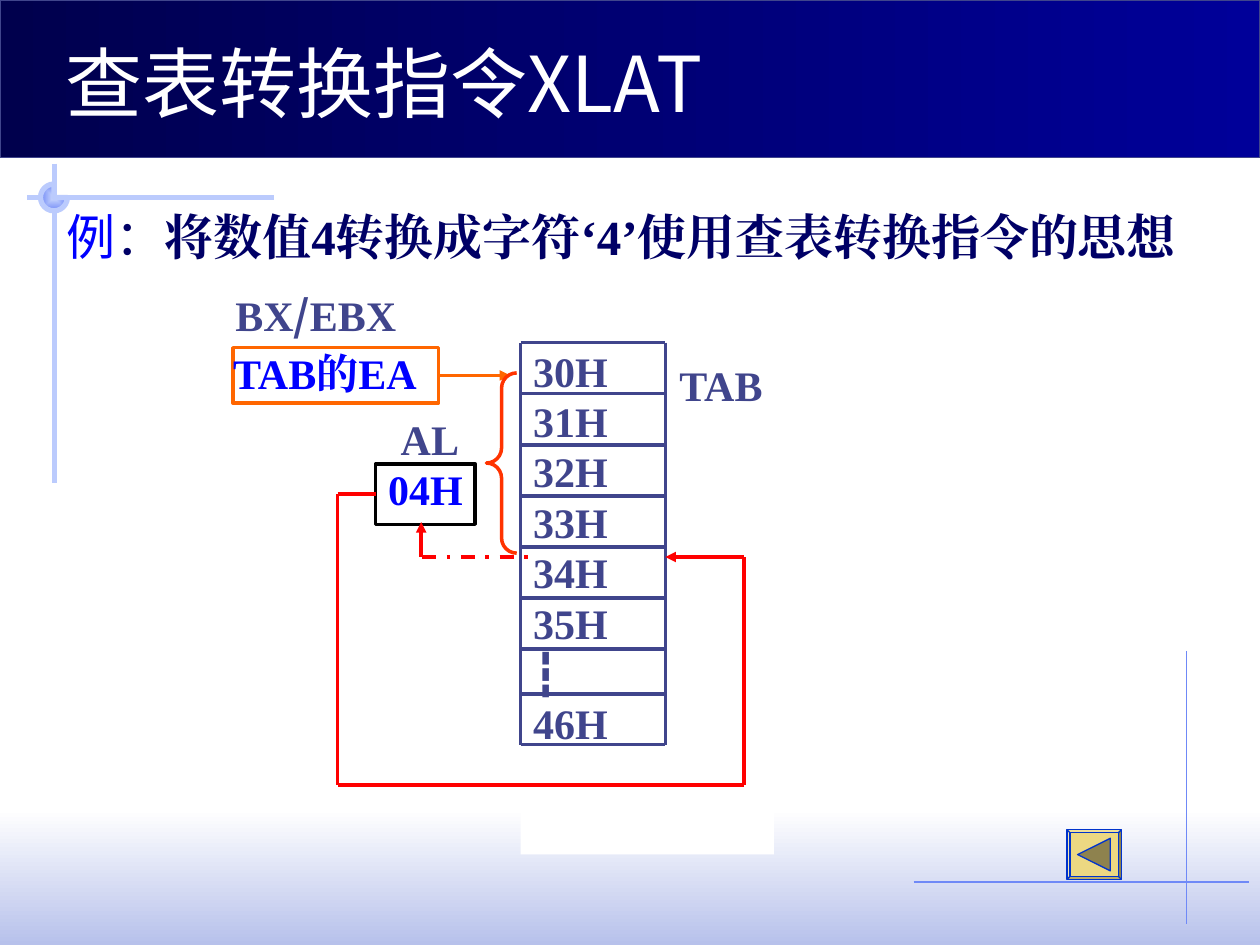
from itertools import accumulate

from lxml import etree
from pptx import Presentation
from pptx.dml.color import RGBColor
from pptx.enum import dml, shapes, text
from pptx.oxml.ns import qn
from pptx.util import Pt

WHITE = RGBColor(0xFF, 0xFF, 0xFF)
BLACK = RGBColor(0, 0, 0)
SLATE = RGBColor(0x40, 0x45, 0x8C)
NAVY = RGBColor(0, 0, 0x66)
HEADER_DARK = RGBColor(0, 0, 0x4D)
HEADER_LIGHT = RGBColor(0, 0, 0x99)
BLUE = RGBColor(0, 0, 0xFF)
PALE = RGBColor(0xCF, 0xDB, 0xFD)
LIGHT = RGBColor(0xBB, 0xCB, 0xFD)
MEDIUM = RGBColor(0x6F, 0x89, 0xF7)
FOOTER = RGBColor(0xB7, 0xC1, 0xEB)
ORANGE = RGBColor(0xFF, 0x66, 0)
BRACE = RGBColor(0xFF, 0x33, 0)
RED = RGBColor(0xFF, 0, 0)
GOLD = RGBColor(0xEC, 0xD8, 0x82)
BRONZE = RGBColor(0x8E, 0x82, 0x4E)
BUTTON_LINE = RGBColor(0, 0x33, 0xCC)
SERIF, SANS, CJK = "Times New Roman", "Roboto", "Noto Sans CJK SC"


def set_font(font, size, color, name=SERIF, bold=True):
    font.size, font.name, font.bold = Pt(size), name, bold
    font.color.rgb = color


def add_shape(slide, box, fill=None, line=None, width=2, kind=shapes.MSO_SHAPE.RECTANGLE):
    shape = slide.shapes.add_shape(kind, *map(Pt, box))
    finish_shape(shape, fill, line, width)
    return shape


def finish_shape(shape, fill, line, width):
    shape.shadow.inherit = False
    if fill is None:
        shape.fill.background()
    elif isinstance(fill, RGBColor):
        shape.fill.solid()
        shape.fill.fore_color.rgb = fill
    else:
        shape.fill.gradient()
        for position, (stop, color) in enumerate(zip(shape.fill.gradient_stops, fill)):
            stop.color.rgb = color
            stop.position = position
    if line is None:
        shape.line.fill.background()
    else:
        shape.line.color.rgb = line
        shape.line.width = Pt(width)


def add_line(slide, start, end, color, width=2, arrow=False):
    line = slide.shapes.add_connector(
        shapes.MSO_CONNECTOR.STRAIGHT, *map(Pt, (*start, *end)))
    line.line.color.rgb = color
    line.line.width = Pt(width)
    properties = line.element.spPr
    if arrow:
        etree.SubElement(properties.find(qn("a:ln")), qn("a:tailEnd"), type="triangle")
    etree.SubElement(properties, qn("a:effectLst"))
    return line


def write(shape, lines, color=SLATE, align=text.PP_ALIGN.LEFT, inset=0, wrap=True):
    frame = shape.text_frame
    frame.word_wrap = wrap
    frame.vertical_anchor = text.MSO_ANCHOR.TOP
    frame.margin_left = frame.margin_right = Pt(inset)
    frame.margin_top = frame.margin_bottom = Pt(inset / 2)
    frame.text = "\n".join(lines)
    for paragraph in frame.paragraphs:
        paragraph.alignment = align
        set_font(paragraph.font, 24, color)
    return frame


def add_background(slide, box):
    left, top, width, height = box
    footer = add_shape(slide, (left, top + 462.5, width, height - 462.5), (WHITE, FOOTER))
    footer.fill.gradient_angle = 270
    add_line(slide, (left + 678, top + 372), (left + 678, top + 528), MEDIUM, 0.75)
    add_line(slide, (left + 156.5, top + 113), (left + 15.5, top + 113), LIGHT, 3)
    add_line(slide, (left + 31, top + 93.5), (left + 31, top + 276), LIGHT, 3)
    disc = add_shape(slide, (left + 23.2, top + 105.2, 15.3, 15.3), (PALE, MEDIUM),
                     LIGHT, 3, shapes.MSO_SHAPE.PIE)
    gradient = disc.element.spPr.find(qn("a:gradFill"))
    gradient.remove(gradient.find(qn("a:lin")))
    center = etree.SubElement(gradient, qn("a:path"), {"path": "rect"})
    etree.SubElement(center, qn("a:fillToRect"), dict.fromkeys("ltrb", "50000"))
    header = add_shape(slide, (left, top, width, 90), (HEADER_DARK, HEADER_LIGHT), SLATE, 0.75)
    header.fill.gradient_angle = 0
    add_line(slide, (left + 522, top + 504), (left + 714, top + 504), MEDIUM, 0.75)


def place(slide, shape, box):
    shape.left, shape.top, shape.width, shape.height = map(Pt, box)
    slide.shapes.element.append(shape.element)
    shape.text_frame.auto_size = text.MSO_AUTO_SIZE.NONE
    return shape.text_frame


def add_title(slide, box):
    frame = place(slide, slide.shapes.title, box)
    frame.word_wrap = False
    frame.vertical_anchor = text.MSO_ANCHOR.MIDDLE
    frame.text = "查表转换指令XLAT"
    paragraph = frame.paragraphs[0]
    paragraph.alignment = text.PP_ALIGN.LEFT
    set_font(paragraph.font, 44, WHITE, CJK, False)


def add_example(slide, box):
    paragraph = place(slide, slide.placeholders[1], box).paragraphs[0]
    properties = paragraph._p.get_or_add_pPr()
    properties.set("marL", str(Pt(27)))
    properties.set("indent", str(-Pt(27)))
    etree.SubElement(properties, qn("a:buNone"))
    paragraph.space_before = Pt(0)
    for words, name, color, bold in (
            ("例", SANS, BLUE, False), ("：", SANS, NAVY, False),
            ("将数值4转换成字符‘4’使用查表转换指令的思想", SERIF, NAVY, True)):
        run = paragraph.add_run()
        run.text = words
        set_font(run.font, 28, color, name, bold)


def add_memory(slide, box):
    left, top, width, height = box
    values = ["30H", "31H", "32H", "33H", "34H", "35H", "┇", "46H"]
    frame = write(add_shape(slide, box, WHITE), values, inset=7.2)
    for paragraph in frame.paragraphs:
        paragraph.line_spacing = Pt(28.8)
    write(add_shape(slide, (left + 90.7, top + 11.5, 54, 39.6), WHITE), ["TAB"])
    right = left + 82.7
    edges = list(accumulate([29.2] * 6 + [25.7, 28.8], initial=top + 2.1))
    for y in edges:
        add_line(slide, (left, y), (right, y), SLATE)
    for x in (left, right):
        add_line(slide, (x, edges[0]), (x, edges[-1]), SLATE)


def add_registers(slide, box):
    left, top, width, height = box
    label = write(add_shape(slide, (left + 74.2, top + 74.2, 82, 62.6), WHITE),
                  ["AL"], align=text.PP_ALIGN.CENTER)
    label.margin_left = Pt(6)
    index = add_shape(slide, (left + 87.2, top + 103, 56.9, 34.6), WHITE, BLACK)
    write(index, ["04H"], BLUE, text.PP_ALIGN.CENTER)
    label = write(add_shape(slide, (left, top, 165.6, 78.5), WHITE), [""], inset=7.2)
    for words, name in (("BX", SERIF), ("/", CJK), ("EBX", SERIF)):
        run = label.paragraphs[0].add_run()
        run.text = words
        set_font(run.font, 24, SLATE, name)
    base = add_shape(slide, (left + 5.8, top + 36.7, 117.4, 31.7), WHITE, ORANGE)
    write(base, ["TAB的EA"], BLUE, wrap=False)
    arrow = add_line(slide, (left + 123.2, top + 52.55), (left + width, top + 52.55),
                     ORANGE, arrow=True)
    arrow.begin_connect(base, 3)
    return index


def add_routes(slide, box, index):
    left, top, width, height = box
    right, bottom, entry = left + width, top + height, top + 36
    start = add_line(slide, (left, top), (left + 21.6, top), RED)
    start.end_connect(index, 1)
    corners = [(left, top), (left, bottom), (right, bottom), (right, entry)]
    for corner, following in zip(corners, corners[1:]):
        add_line(slide, corner, following, RED)
    add_line(slide, (right, entry), (left + 187.2, entry), RED, arrow=True)
    add_line(slide, (left + 47.7, entry), (left + 47.7, top + 16), RED, arrow=True)
    result = add_line(slide, (left + 48.2, entry), (left + 108.7, entry), RED)
    result.line.dash_style = dml.MSO_LINE.DASH_DOT
    brace = add_shape(slide, (left + 85, top - 69.2, 17.3, 103), None, BRACE,
                      kind=shapes.MSO_SHAPE.LEFT_BRACE)
    brace.adjustments[0] = 0.5


def add_back_button(slide, box):
    left, top, width, height = box
    frame = add_shape(slide, box, GOLD, BUTTON_LINE, 0.75, shapes.MSO_SHAPE.BEVEL)
    frame.adjustments[0] = 0.06
    middle = top + height / 2
    builder = slide.shapes.build_freeform(Pt(left + 6), Pt(middle))
    builder.add_line_segments([(Pt(left + 24.7), Pt(middle - 9.3)),
                               (Pt(left + 24.7), Pt(middle + 9.3))])
    finish_shape(builder.convert_to_shape(), BRONZE, BUTTON_LINE, 0.75)


def main():
    presentation = Presentation()
    presentation.slide_width, presentation.slide_height = Pt(720), Pt(540)
    slide = presentation.slides.add_slide(presentation.slide_layouts[1])
    add_background(slide, (0, 0, 720, 540))
    add_example(slide, (31, 114.5, 663, 365.8))
    add_memory(slide, (297.5, 193.7, 144.7, 294.5))
    index = add_registers(slide, (127.4, 162, 164.2, 137.6))
    add_routes(slide, (193, 282.3, 232.3, 166.3), index)
    add_back_button(slide, (609.8, 474.2, 31, 28.3))
    add_title(slide, (30.2, 16.6, 390.2, 60.5))
    for latin in list(slide.element.iter(qn("a:latin"))):
        east_asian = etree.Element(qn("a:ea"), typeface=latin.get("typeface"))
        latin.addnext(east_asian)
    presentation.save("out.pptx")


if __name__ == "__main__":
    main()
